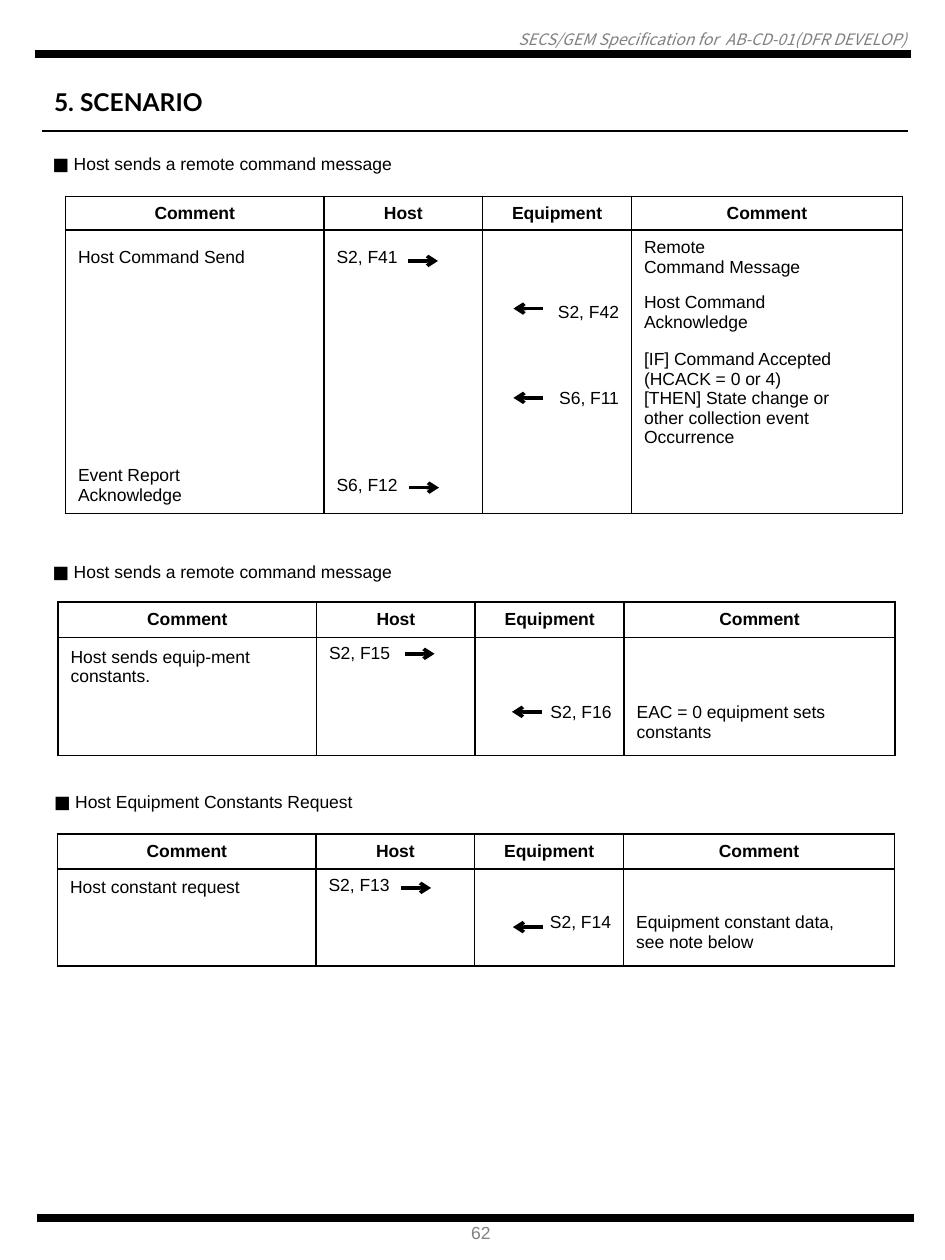
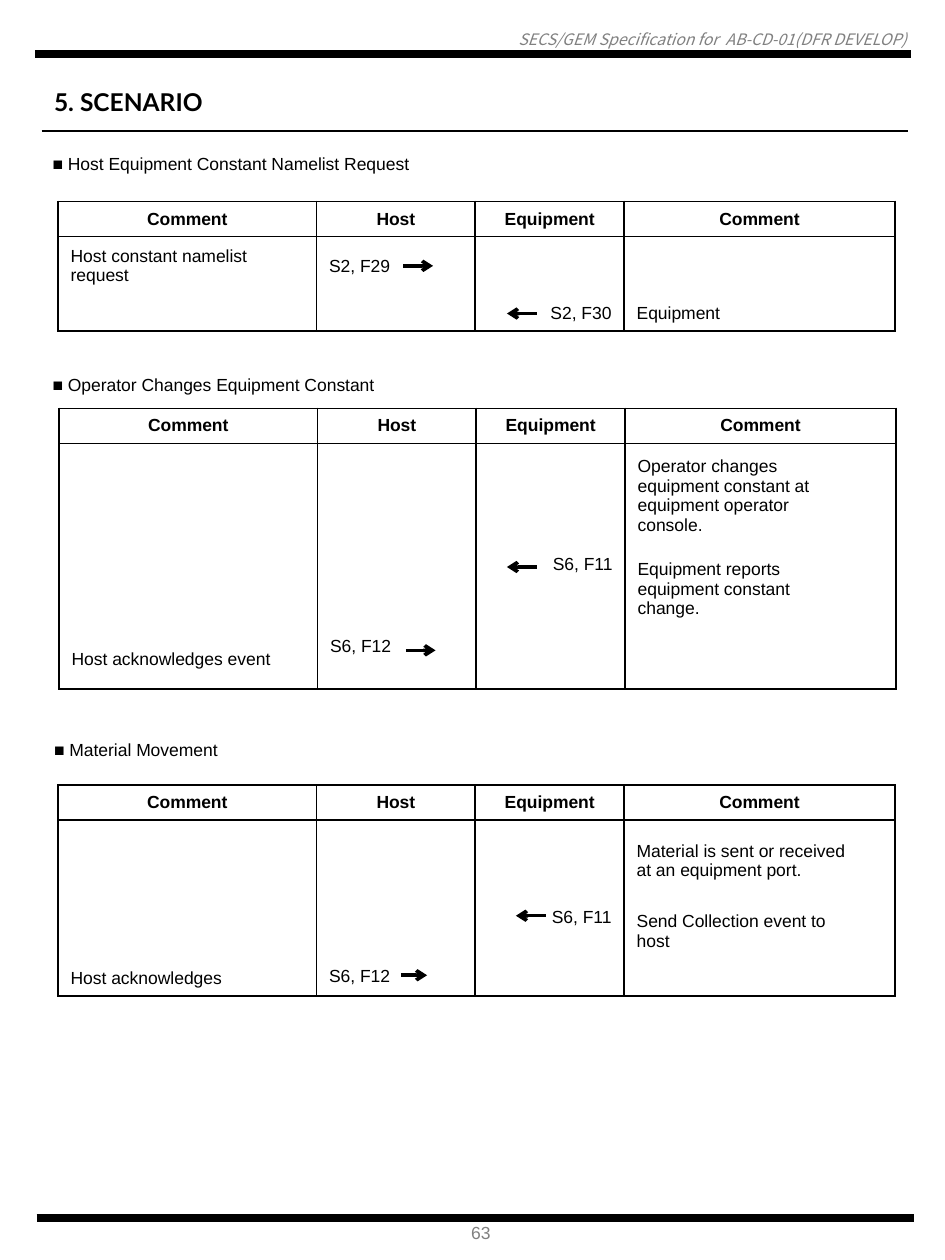
import collections

import lxml.etree
import pptx
import pptx.dml.color
import pptx.enum.shapes
import pptx.enum.text
import pptx.oxml.ns
import pptx.util

Cm = pptx.util.Cm
Pt = pptx.util.Pt
ALIGN = pptx.enum.text.PP_ALIGN
ANCHOR = pptx.enum.text.MSO_ANCHOR
qn = pptx.oxml.ns.qn

BLACK = pptx.dml.color.RGBColor(0x00, 0x00, 0x00)
GRAY = pptx.dml.color.RGBColor(0x80, 0x80, 0x80)
BODY_FONT = "Arial"
TITLE_FONT = "Lato"
HEADER_FONT = "Noto Sans CJK KR"
BODY_SIZE = 10

COLUMN_WIDTHS = (5.21, 3.2, 3.0, 5.46)
COLUMN_TITLES = ("Comment", "Host", "Equipment", "Comment")
COLUMN_ALIGNS = (ALIGN.LEFT, ALIGN.LEFT, ALIGN.RIGHT, ALIGN.LEFT)
ANCHORS = {"t": ANCHOR.TOP, "m": ANCHOR.MIDDLE}

Box = collections.namedtuple("Box", "left top width height")
Scenario = collections.namedtuple(
    "Scenario", "heading heading_box bullet_font corner heights anchors rows arrows")


def style_span(span, size=BODY_SIZE, font=BODY_FONT, color=BLACK, bold=False, italic=False):
    """Format one run."""
    span.font.size = Pt(size)
    span.font.name = font
    span.font.color.rgb = color
    span.font.bold = bold
    span.font.italic = italic


def add_text(page, box, spans, align=ALIGN.LEFT, wrap=True, inset=None):
    """Add a one-paragraph text box from pairs of text and run style."""
    label = page.shapes.add_textbox(*(Cm(length) for length in box))
    frame = label.text_frame
    frame.word_wrap = wrap
    frame.auto_size = pptx.enum.text.MSO_AUTO_SIZE.SHAPE_TO_FIT_TEXT
    if inset is not None:
        frame.margin_left = frame.margin_right = Cm(inset)
        frame.margin_top = frame.margin_bottom = Cm(inset)
    para = frame.paragraphs[0]
    para.alignment = align
    for text, style in spans:
        span = para.add_run()
        span.text = text
        style_span(span, **style)


def add_line(page, start, end, top, width, arrow=False):
    """Draw a level line, with an arrowhead at its end if asked."""
    line = page.shapes.add_connector(
        pptx.enum.shapes.MSO_CONNECTOR.STRAIGHT, Cm(start), Cm(top), Cm(end), Cm(top))
    line.line.color.rgb = BLACK
    line.line.width = Pt(width)
    if arrow:
        outline = line.line._get_or_add_ln()
        lxml.etree.SubElement(outline, qn("a:tailEnd"), type="arrow")
    lxml.etree.SubElement(line._element.spPr, qn("a:effectLst"))


def set_borders(cell, top, bottom):
    """Rule the sides of a cell, and its top and bottom where asked."""
    properties = cell._tc.get_or_add_tcPr()
    for side, shown in (("L", True), ("R", True), ("T", top), ("B", bottom)):
        border = lxml.etree.SubElement(properties, qn("a:ln" + side), w=str(Pt(1)))
        if shown:
            fill = lxml.etree.SubElement(border, qn("a:solidFill"))
            lxml.etree.SubElement(fill, qn("a:srgbClr"), val=str(BLACK))
        else:
            lxml.etree.SubElement(border, qn("a:noFill"))


def fill_cell(cell, text, align, anchor, bold):
    """Write and format the text of a cell."""
    cell.fill.background()
    cell.vertical_anchor = anchor
    cell.text_frame.text = text
    for para in cell.text_frame.paragraphs:
        para.alignment = align
        for span in para.runs:
            style_span(span, bold=bold)
        if not para.runs:
            lxml.etree.SubElement(para._p, qn("a:endParaRPr"), sz=str(BODY_SIZE * 100))


def add_message_table(page, box, heights, anchors, rows):
    """Build a message table with a header row and an open body."""
    lines = [COLUMN_TITLES, *rows]
    table = page.shapes.add_table(
        len(lines), len(COLUMN_TITLES), *(Cm(length) for length in box)).table
    table.first_row = table.horz_banding = False
    for column, width in zip(table.columns, COLUMN_WIDTHS):
        column.width = Cm(width)
    for index, (height, texts) in enumerate(zip(heights, lines)):
        table.rows[index].height = Cm(height)
        is_header = index == 0
        for place, text in enumerate(texts):
            cell = table.cell(index, place)
            set_borders(cell, index < 2, is_header or index == len(rows))
            align = ALIGN.CENTER if is_header else COLUMN_ALIGNS[place]
            anchor = ANCHOR.MIDDLE if is_header else ANCHORS[anchors[place]]
            fill_cell(cell, text, align, anchor, is_header)


def add_scenario(page, scenario):
    """Add a heading, its message table and the arrows over the table."""
    left, top = scenario.heading_box
    add_text(page, Box(left, top, 17.6, 0.69),
             [("■", {"font": scenario.bullet_font}), (" " + scenario.heading, {})])
    left, top = scenario.corner
    box = Box(left, top, sum(COLUMN_WIDTHS), sum(scenario.heights))
    add_message_table(page, box, scenario.heights, scenario.anchors, scenario.rows)
    for start, end, drop in scenario.arrows:
        add_line(page, left + start, left + end, top + drop, 2, arrow=True)


def add_page_frame(page, number):
    """Add the running header, both bands, the page number and the title."""
    add_text(page, Box(0.13, 0.61, 18.14, 0.38),
             [("SECS/GEM Specification for  AB-CD-01(DFR DEVELOP)",
               {"size": 9, "font": HEADER_FONT, "color": GRAY, "italic": True})],
             align=ALIGN.RIGHT, inset=0)
    add_line(page, 0.71, 18.36, 1.09, 4.75)
    add_line(page, 0.74, 18.42, 24.56, 4.75)
    add_text(page, Box(9.25, 24.51, 0.94, 0.69), [(str(number), {"color": GRAY})], wrap=False)
    add_text(page, Box(0.84, 1.63, 3.81, 0.86),
             [("5. SCENARIO", {"size": 14, "font": TITLE_FONT, "bold": True})], wrap=False)
    add_line(page, 0.84, 18.31, 2.64, 0.75)


PAGES = {
    62: [
        Scenario("Host sends a remote command message", (0.81, 2.97), TITLE_FONT,
                 (1.32, 3.96), (0.68, 1.08, 1.11, 2.36, 1.12), "mmmm",
                 [("Host Command Send", "S2, F41", "", "Remote\nCommand Message"),
                  ("", "", "S2, F42", "Host Command\nAcknowledge"),
                  ("", "", "S6, F11",
                   "[IF] Command Accepted\n(HCACK = 0 or 4)\n[THEN] State change or\n"
                   "other collection event\nOccurrence"),
                  ("Event Report\nAcknowledge", "S6, F12", "", "")],
                 [(6.91, 7.51, 1.3), (9.63, 9.03, 2.26), (9.63, 9.03, 4.06),
                  (6.93, 7.53, 5.87)]),
        Scenario("Host sends a remote command message", (0.81, 11.18), TITLE_FONT,
                 (1.17, 12.14), (0.71, 1.19, 1.19), "mttt",
                 [("Host sends equip-ment\nconstants.", "S2, F15", "", ""),
                  ("", "", "S2, F16", "EAC = 0 equipment sets\nconstants")],
                 [(6.99, 7.59, 1.04), (9.75, 9.15, 2.21)]),
        Scenario("Host Equipment Constants Request", (0.84, 15.82), TITLE_FONT,
                 (1.16, 16.81), (0.71, 0.76, 1.19), "mttt",
                 [("Host constant request", "S2, F13", "", ""),
                  ("", "", "S2, F14", "Equipment constant data,\nsee note below")],
                 [(6.93, 7.53, 1.09), (9.78, 9.18, 1.88)]),
    ],
    63: [
        Scenario("Host Equipment Constant Namelist Request", (0.81, 2.97), BODY_FONT,
                 (1.17, 4.06), (0.71, 1.19, 0.71), "mmmm",
                 [("Host constant namelist\nrequest", "S2, F29", "", ""),
                  ("", "", "S2, F30", "Equipment")],
                 [(6.96, 7.56, 1.3), (9.65, 9.05, 2.26)]),
        Scenario("Operator Changes Equipment Constant", (0.81, 7.42), BODY_FONT,
                 (1.19, 8.23), (0.71, 2.11, 1.65, 1.19), "mttm",
                 [("", "", "",
                   "Operator changes\nequipment constant at\nequipment operator\nconsole."),
                  ("", "", "S6, F11", "Equipment reports\nequipment constant\nchange."),
                  ("Host acknowledges event", "S6, F12", "", "")],
                 [(9.63, 9.03, 3.2), (6.99, 7.59, 4.88)]),
        Scenario("Material Movement", (0.84, 14.78), BODY_FONT,
                 (1.17, 15.82), (0.71, 1.65, 1.19, 0.71), "mttm",
                 [("", "", "", "Material is sent or received\nat an equipment port."),
                  ("", "", "S6, F11", "Send Collection event to\nhost"),
                  ("Host acknowledges", "S6, F12", "", "")],
                 [(9.83, 9.23, 2.64), (6.91, 7.44, 3.84)]),
    ],
}


def build_deck():
    """Build and save the deck."""
    deck = pptx.Presentation()
    deck.slide_width = Cm(19.05)
    deck.slide_height = Cm(25.4)
    for number, scenarios in PAGES.items():
        page = deck.slides.add_slide(deck.slide_layouts[6])
        add_page_frame(page, number)
        for scenario in scenarios:
            add_scenario(page, scenario)
    deck.save("out.pptx")


build_deck()
